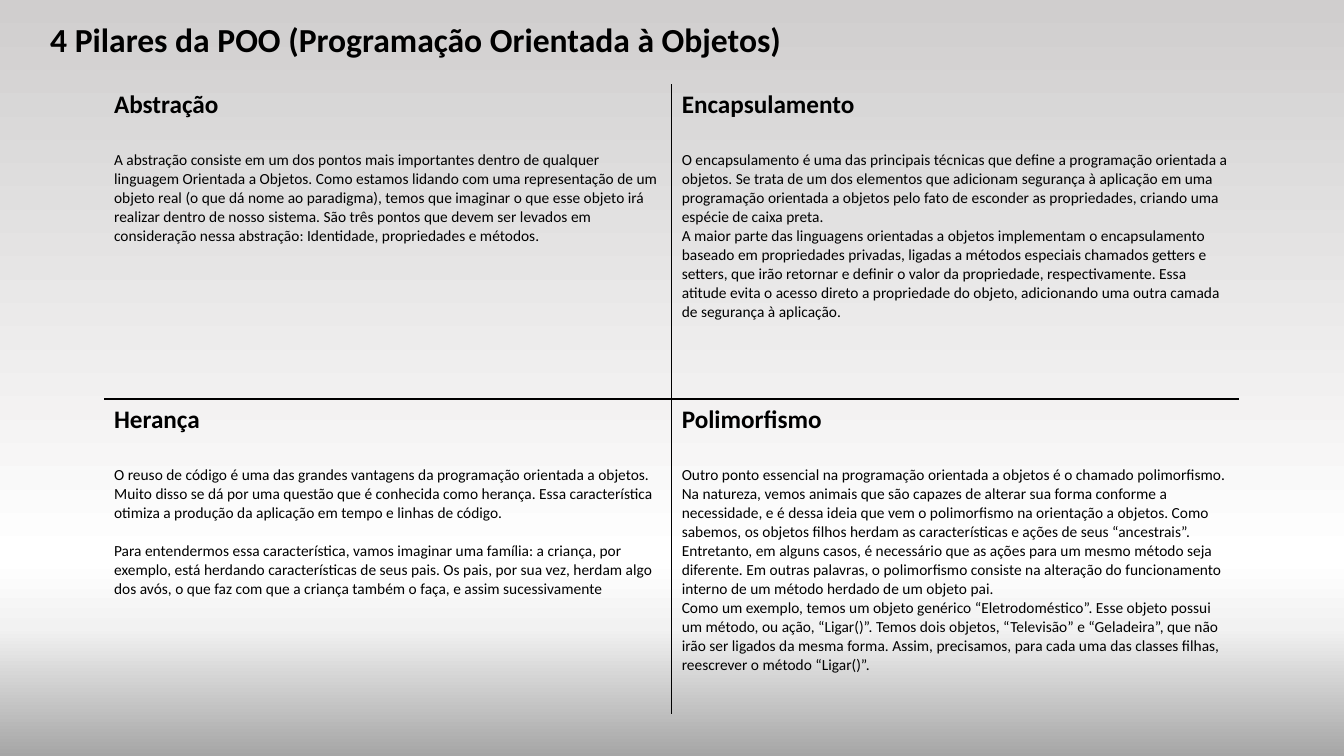
from pptx import Presentation
from pptx.util import Pt
from pptx.dml.color import RGBColor
from pptx.enum.text import MSO_AUTO_SIZE
from pptx.oxml.ns import qn
from lxml.etree import SubElement

TITLE = "4 Pilares da POO (Programação Orientada à Objetos)"
PILLARS = [
    [
        ("Abstração", 0, [
            "A abstração consiste em um dos pontos mais importantes dentro de qualquer linguagem Orientada a Objetos. Como estamos lidando com uma representação de um objeto real (o que dá nome ao paradigma), temos que imaginar o que esse objeto irá realizar dentro de nosso sistema. São três pontos que devem ser levados em consideração nessa abstração: Identidade, propriedades e métodos.",
        ]),
        ("Encapsulamento", 0, [
            "O encapsulamento é uma das principais técnicas que define a programação orientada a objetos. Se trata de um dos elementos que adicionam segurança à aplicação em uma programação orientada a objetos pelo fato de esconder as propriedades, criando uma espécie de caixa preta.",
            "A maior parte das linguagens orientadas a objetos implementam o encapsulamento baseado em propriedades privadas, ligadas a métodos especiais chamados getters e setters, que irão retornar e definir o valor da propriedade, respectivamente. Essa atitude evita o acesso direto a propriedade do objeto, adicionando uma outra camada de segurança à aplicação.",
        ]),
    ],
    [
        ("Herança", 13.5, [
            "O reuso de código é uma das grandes vantagens da programação orientada a objetos. Muito disso se dá por uma questão que é conhecida como herança. Essa característica otimiza a produção da aplicação em tempo e linhas de código.",
            "Para entendermos essa característica, vamos imaginar uma família: a criança, por exemplo, está herdando características de seus pais. Os pais, por sua vez, herdam algo dos avós, o que faz com que a criança também o faça, e assim sucessivamente",
        ]),
        ("Polimorfismo", 0, [
            "Outro ponto essencial na programação orientada a objetos é o chamado polimorfismo. Na natureza, vemos animais que são capazes de alterar sua forma conforme a necessidade, e é dessa ideia que vem o polimorfismo na orientação a objetos. Como sabemos, os objetos filhos herdam as características e ações de seus “ancestrais”. Entretanto, em alguns casos, é necessário que as ações para um mesmo método seja diferente. Em outras palavras, o polimorfismo consiste na alteração do funcionamento interno de um método herdado de um objeto pai.",
            "Como um exemplo, temos um objeto genérico “Eletrodoméstico”. Esse objeto possui um método, ou ação, “Ligar()”. Temos dois objetos, “Televisão” e “Geladeira”, que não irão ser ligados da mesma forma. Assim, precisamos, para cada uma das classes filhas, reescrever o método “Ligar()”.",
        ]),
    ],
]
STOPS = [(0, "D0CECE"), (74, "FFFFFF"), (83, "F2F2F2"), (100, "A6A6A6")]
BLACK = "000000"
FONTS = {
    "title": {"size": Pt(24), "bold": True, "name": "Calibri"},
    "head": {"size": Pt(18), "bold": True, "name": "Calibri"},
    "body": {"size": Pt(11), "bold": False, "name": "Calibri"},
}
PLAIN = "{2D5ABB26-0587-4C30-8999-92F81FD0307C}"
LEFT, TOP, WIDTH, HEIGHT = 74.3, 60, 811, 450


def color(hexa):
    return RGBColor.from_string(hexa)


def write(para, text, kind, gap=0):
    run = para.add_run()
    run.text = text
    for key, value in FONTS[kind].items():
        setattr(run.font, key, value)
    run.font.color.rgb = color(BLACK)
    para.space_after = Pt(gap)


def paint(slide):
    fill = slide.background.fill
    fill.gradient()
    fill.gradient_angle = 270
    stops = slide.element.find(".//" + qn("a:gsLst"))
    stops.clear()
    for place, hexa in STOPS:
        stop = SubElement(stops, qn("a:gs"), pos=str(place * 1000))
        SubElement(stop, qn("a:srgbClr"), val=str(color(hexa)))


def border(cell, sides):
    props = cell._tc.get_or_add_tcPr()
    for side in "LRTB":
        if side in sides:
            line = SubElement(props, qn("a:ln" + side), w=str(Pt(1)))
            solid = SubElement(line, qn("a:solidFill"))
            SubElement(solid, qn("a:srgbClr"), val=str(color(BLACK)))


deck = Presentation()
deck.slide_width, deck.slide_height = Pt(960), Pt(540)
slide = deck.slides.add_slide(deck.slide_layouts[6])
paint(slide)

frame = slide.shapes.add_textbox(Pt(28.8), Pt(10), Pt(541.4), Pt(36)).text_frame
frame.word_wrap = False
frame.auto_size = MSO_AUTO_SIZE.SHAPE_TO_FIT_TEXT
write(frame.paragraphs[0], TITLE, "title")

table = slide.shapes.add_table(2, 2, Pt(LEFT), Pt(TOP), Pt(WIDTH), Pt(HEIGHT)).table
table.first_row = table.horz_banding = False
table._tbl.tblPr.find(qn("a:tableStyleId")).text = PLAIN
for row, line in enumerate(PILLARS):
    for col, (head, gap, texts) in enumerate(line):
        cell = table.cell(row, col)
        border(cell, "RL"[col] + "BT"[row])
        cell.fill.background()
        write(cell.text_frame.paragraphs[0], head, "head", 22)
        for text in texts:
            write(cell.text_frame.add_paragraph(), text, "body", gap)

deck.save("out.pptx")
